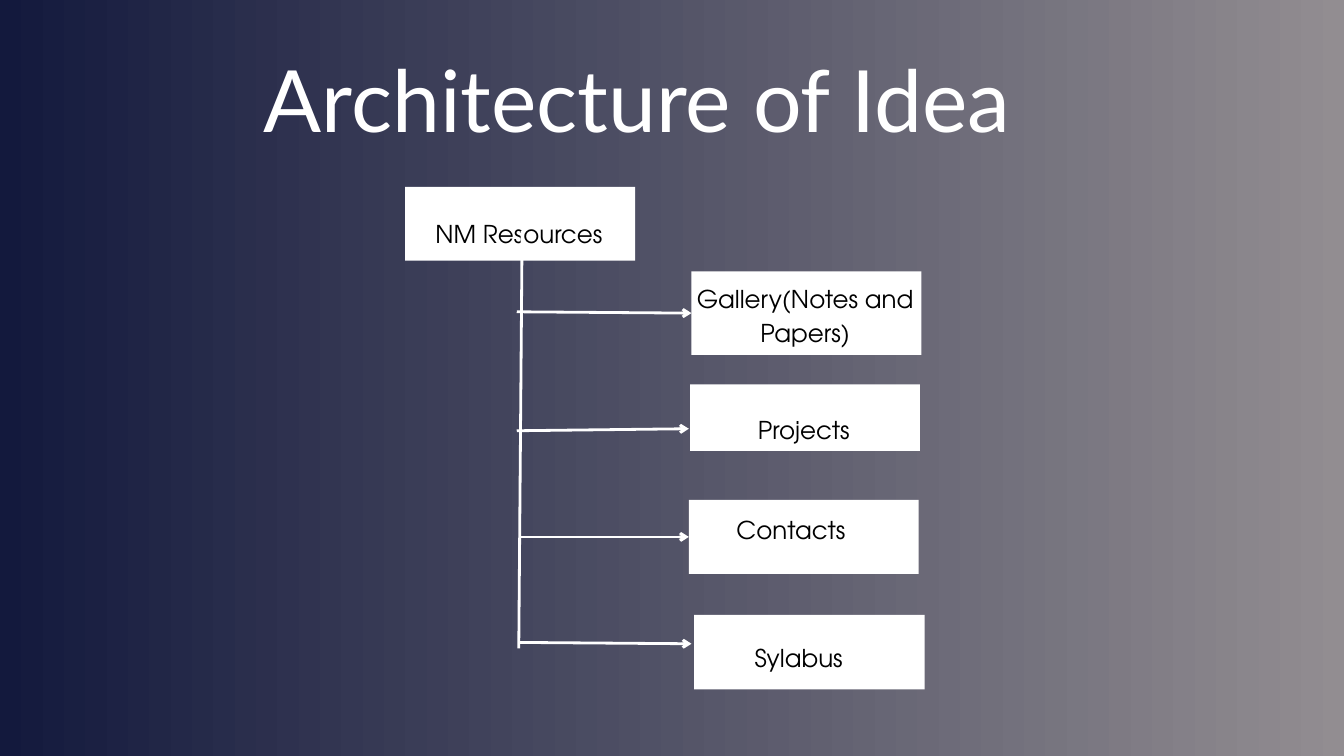
from dataclasses import dataclass

from lxml.etree import SubElement
from pptx import Presentation
from pptx.dml.color import RGBColor
from pptx.enum.shapes import MSO_CONNECTOR as LINE, MSO_SHAPE as SHAPE
from pptx.enum.text import MSO_ANCHOR as ANCHOR, PP_ALIGN as ALIGN
from pptx.oxml.ns import qn
from pptx.util import Pt

PX = 9144  # 100 px to the inch
WIDTH, HEIGHT = 2000, 1125
INSET = 6
LEFT_SIDE = 1


@dataclass(frozen=True)
class Theme:
    navy: RGBColor = RGBColor.from_string("13193D")
    grey: RGBColor = RGBColor.from_string("928D91")
    white: RGBColor = RGBColor.from_string("FFFFFF")
    black: RGBColor = RGBColor.from_string("000000")
    title_font: str = "Lato"
    label_font: str = "TeX Gyre Adventor"
    title_size: float = 92
    title_leading: float = 128.8
    label_size: float = 26.3
    label_leading: float = 36.8
    line_width: float = 3


THEME = Theme()

TITLE = ("Architecture of Idea", (112, 44, 1672, 181))
# label, box (left, top, width, height), shift of the label from the box centre
ROOT = ("NM Resources", (603, 278, 342, 110), (-2, 11))
# the same, then arrow start, arrow end (None: joined to the box)
BRANCHES = [
    ("Gallery(Notes and Papers)", (1029, 404, 342, 124), (-2, 0), (769, 464), None),
    ("Projects", (1027, 572, 342, 99), (-2, 14), (769, 641), (1025, 638)),
    ("Contacts", (1025, 744, 342, 110), (-19, -14), (776, 799), None),
    ("Sylabus", (1033, 915, 343, 111), (-16, 4), (771, 956), (1029, 958)),
]
TRUNK = ((777, 344), (772, 965))


def px(*values):
    return [v * PX for v in values]


def set_text(tf, text, font, size, leading, color):
    tf.word_wrap = True
    tf.text = text
    p = tf.paragraphs[0]
    p.alignment = ALIGN.CENTER
    p.line_spacing = Pt(leading)
    r = p.runs[0]
    r.font.name, r.font.size = font, Pt(size)
    r.font.color.rgb = color


def set_insets(tf, inset, dx=0, dy=0):
    """Set even insets, widened on one side so the text moves by dx, dy."""
    tf.margin_left, tf.margin_right, tf.margin_top, tf.margin_bottom = px(
        *(inset + 2 * max(shift, 0) for shift in (dx, -dx, dy, -dy)))


def add_title(s, text, box):
    tf = s.shapes.add_textbox(*px(*box)).text_frame
    set_insets(tf, 0)
    set_text(tf, text, THEME.title_font, THEME.title_size,
             THEME.title_leading, THEME.white)


def add_box(s, label, box, shift):
    sp = s.shapes.add_shape(SHAPE.RECTANGLE, *px(*box))
    sp.shadow.inherit = False
    sp.fill.solid()
    sp.fill.fore_color.rgb = THEME.white
    sp.line.fill.background()
    tf = sp.text_frame
    tf.vertical_anchor = ANCHOR.MIDDLE
    set_insets(tf, INSET, *shift)
    set_text(tf, label, THEME.label_font, THEME.label_size,
             THEME.label_leading, THEME.black)
    return sp


def add_line(s, start, end, arrow=False):
    line = s.shapes.add_connector(LINE.STRAIGHT, *px(*start, *end))
    line.line.color.rgb = THEME.white
    line.line.width = Pt(THEME.line_width)
    if arrow:
        SubElement(line.line._get_or_add_ln(), qn("a:tailEnd"), type="arrow")
    SubElement(line._element.spPr, qn("a:effectLst"))
    return line


def paint_background(s):
    fill = s.background.fill
    fill.gradient()
    fill.gradient_angle = 0
    for stop, position, color in zip(fill.gradient_stops, (0, 1),
                                     (THEME.navy, THEME.grey)):
        stop.position = position
        stop.color.rgb = color


def main():
    prs = Presentation()
    prs.slide_width, prs.slide_height = px(WIDTH, HEIGHT)
    s = prs.slides.add_slide(prs.slide_layouts[6])
    paint_background(s)
    add_title(s, *TITLE)
    add_box(s, *ROOT)
    boxes = [add_box(s, *branch[:3]) for branch in BRANCHES]
    add_line(s, *TRUNK)
    for sp, (*_, start, end) in zip(boxes, BRANCHES):
        arrow = add_line(s, start, end or start, arrow=True)
        if end is None:
            arrow.end_connect(sp, LEFT_SIDE)
    prs.save("out.pptx")


if __name__ == "__main__":
    main()
